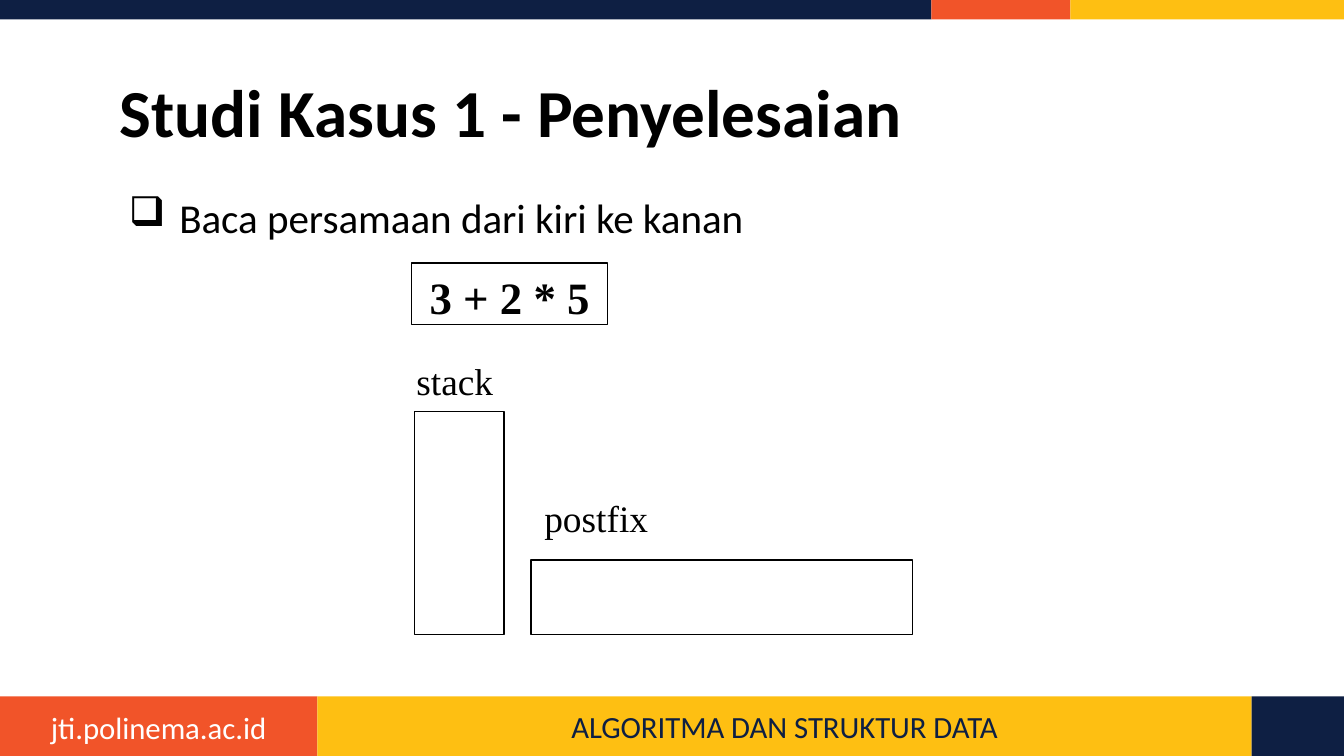
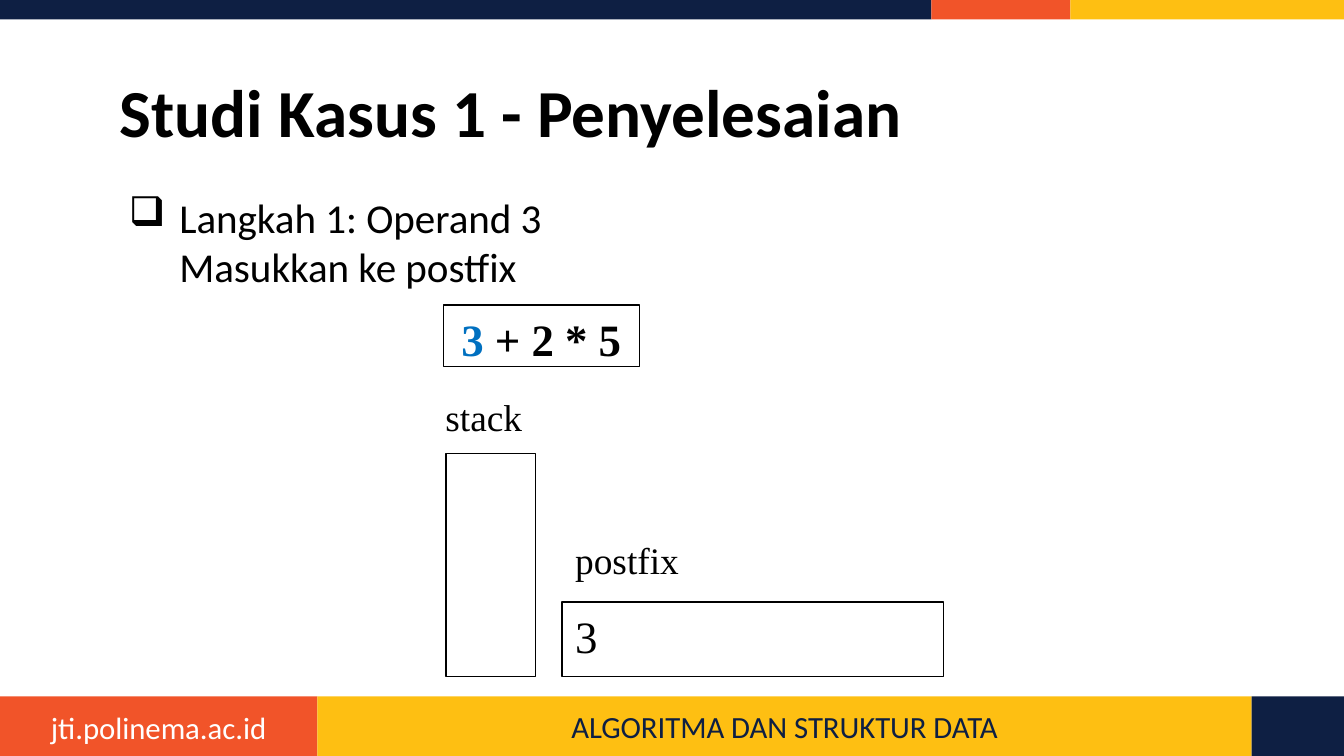
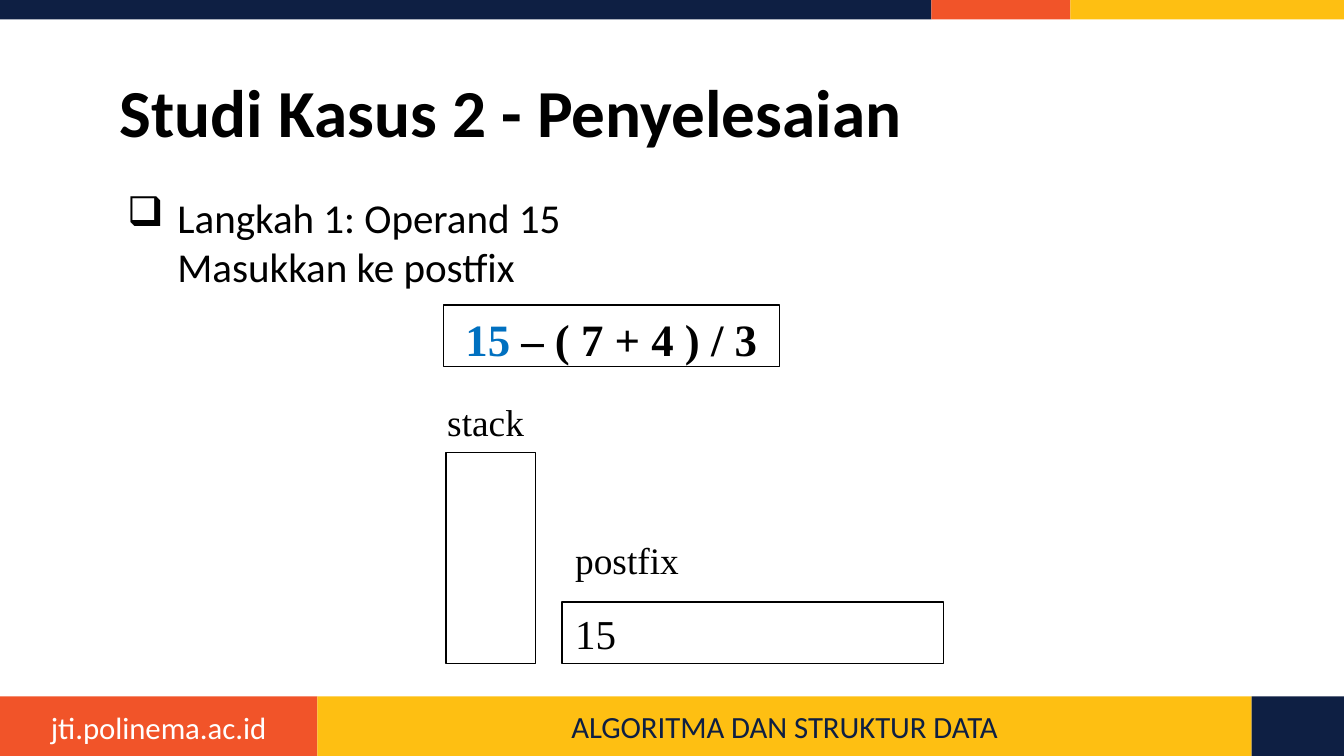
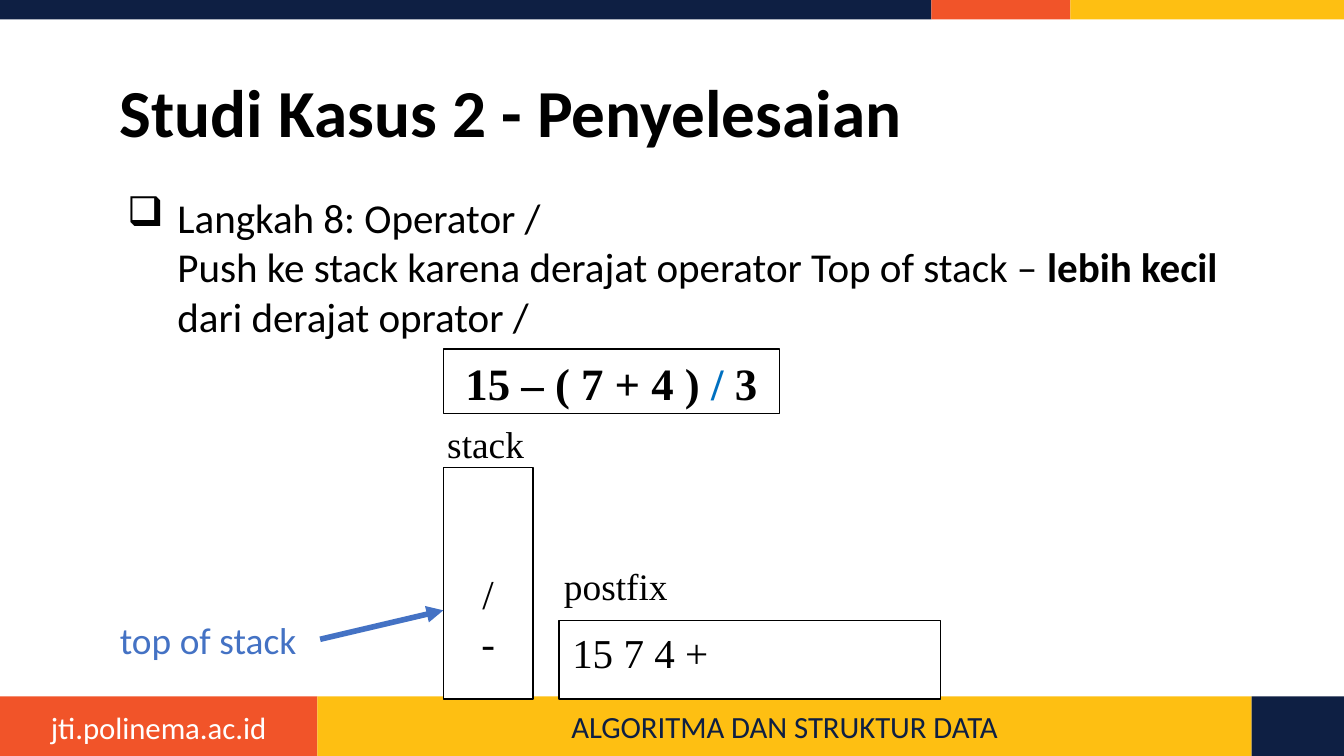
from lxml.etree import SubElement
from pptx import Presentation
from pptx.dml.color import RGBColor
from pptx.enum.shapes import MSO_CONNECTOR, MSO_SHAPE
from pptx.enum.text import MSO_ANCHOR, MSO_AUTO_SIZE, PP_ALIGN
from pptx.oxml.ns import qn
from pptx.util import Pt

NAVY, ORANGE, YELLOW = "0E1F43", "F15429", "FEBF12"
BLACK, WHITE, BLUE, ACCENT = "000000", "FFFFFF", "0070C0", "4472C4"
SANS, SERIF = "Calibri", "Times New Roman"
WIDTH, HEIGHT = 720, 405
FOOTER_H = 32

TOP_BAND = [(499, NAVY), (74.5, ORANGE), (146.5, YELLOW)]
FOOTER = [(170, ORANGE), (500.5, YELLOW), (49.5, NAVY)]
SITE = "jti.polinema.ac.id"
COURSE = "ALGORITMA DAN STRUKTUR DATA"

STACK_W, POSTFIX_W, LABEL_H = 48, 204.5, 28

SLIDES = [
    dict(title="Studi Kasus 1 - Penyelesaian",
         body=[("Baca persamaan dari kiri ke kanan",)], indent=32, body_w=607,
         expr=[("3 + 2 * 5",)], expr_at=(220.5, 141, 105, 33),
         bottom=340, stack=(222, 119.5), stack_label=(216, 188.5), stack_items=[],
         postfix=(284.5, 40), postfix_label=(284.5, 262), output="", output_size=24),
    dict(title="Studi Kasus 1 - Penyelesaian",
         body=[("Langkah 1: Operand 3\nMasukkan ke postfix",)], indent=32, body_w=607,
         expr=[("3", dict(color=BLUE)), (" + 2 * 5",)], expr_at=(237.5, 163.5, 105, 33),
         bottom=362.5, stack=(239, 119.5), stack_label=(231.5, 207.5), stack_items=[],
         postfix=(301, 40), postfix_label=(301, 284.5), output="3", output_size=24),
    dict(title="Studi Kasus 2 - Penyelesaian",
         body=[("Langkah 1: Operand 15\nMasukkan ke postfix",)], indent=31, body_w=607,
         expr=[("15", dict(color=BLUE)), (" – ( 7 + 4 ) / 3",)],
         expr_at=(237.5, 163.5, 180, 33),
         bottom=355.5, stack=(239, 113), stack_label=(232.5, 210.5), stack_items=[],
         postfix=(301, 33), postfix_label=(301, 284.5), output="15", output_size=22),
    dict(title="Studi Kasus 2 - Penyelesaian",
         body=[("Langkah 8: Operator /\nPush ke stack karena derajat operator Top of stack – ",),
               ("lebih kecil ", dict(bold=True)), ("dari derajat oprator /",)],
         indent=31, body_w=634,
         expr=[("15 – ( 7 + 4 ) ",), ("/", dict(color=BLUE)), (" 3",)],
         expr_at=(237.5, 187, 180, 34.5),
         bottom=374.5, stack=(237.5, 124), stack_label=(232.5, 222), stack_items=["/", "-"],
         postfix=(299.5, 42), postfix_label=(295, 298), output="15 7 4 +", output_size=22,
         pointer=dict(text="top of stack", at=(51, 327, 121, 32),
                      arrow=(171.5, 342.5, 237.5, 327))),
]


def rgb(value):
    return RGBColor.from_string(value)


def write(sp, paragraphs, size=20, font=SERIF, color=BLACK, bold=False,
          align=PP_ALIGN.LEFT, anchor=MSO_ANCHOR.TOP, inset=(7.2, 3.6),
          top=None, spacing=None, indent=None):
    tf = sp.text_frame
    tf.word_wrap, tf.auto_size, tf.vertical_anchor = True, MSO_AUTO_SIZE.NONE, anchor
    tf.margin_left = tf.margin_right = Pt(inset[0])
    tf.margin_top = Pt(inset[1] if top is None else top)
    tf.margin_bottom = Pt(inset[1])
    for i, runs in enumerate(paragraphs):
        p = tf.add_paragraph() if i else tf.paragraphs[0]
        p.alignment = align
        if spacing:
            p.line_spacing = spacing
        if indent:
            add_bullet(p, indent)
        for text, *style in [(runs,)] if isinstance(runs, str) else runs:
            look = dict(color=color, bold=bold) | (style[0] if style else {})
            for n, line in enumerate(text.split("\n")):
                if n:
                    p.add_line_break()
                r = p.add_run()
                r.text = line
                r.font.size, r.font.name, r.font.bold = Pt(size), font, look["bold"]
                r.font.color.rgb = rgb(look["color"])


def add_bullet(p, indent):
    pPr = p._p.get_or_add_pPr()
    pPr.set("marL", str(Pt(indent)))
    pPr.set("indent", str(Pt(-27)))
    SubElement(SubElement(pPr, qn("a:buClr")), qn("a:srgbClr")).set("val", BLACK)
    SubElement(pPr, qn("a:buChar")).set("char", "❑")


def add_box(s, at, fill=WHITE, line=None):
    sp = s.shapes.add_shape(MSO_SHAPE.RECTANGLE, *map(Pt, at))
    sp.shadow.inherit = False
    sp.fill.solid()
    sp.fill.fore_color.rgb = rgb(fill)
    if line:
        sp.line.color.rgb = rgb(line)
        sp.line.width = Pt(0.75)
    else:
        sp.line.fill.background()
    return sp


def add_text(s, at, text, **look):
    write(s.shapes.add_textbox(*map(Pt, at)), [text], **look)


def add_band(s, parts, y, h):
    x, boxes = 0, []
    for w, color in parts:
        boxes.append(add_box(s, (x, y, w, h), color))
        x += w
    return boxes


def add_frame(s):
    add_band(s, TOP_BAND, 0, 10.5)
    site, course, _ = add_band(s, FOOTER, HEIGHT - FOOTER_H, FOOTER_H)
    look = dict(size=16.5, font=SANS, align=PP_ALIGN.CENTER)
    write(site, [SITE], color=WHITE, anchor=MSO_ANCHOR.MIDDLE, top=5, **look)
    write(course, [COURSE], color=NAVY, anchor=MSO_ANCHOR.MIDDLE, **look)


def add_title(s, text):
    sp = s.shapes.title
    sp.left, sp.top, sp.width, sp.height = map(Pt, (57, 35.5, 607, 45.5))
    write(sp, [text], size=36, font=SANS, bold=True, inset=(7.2, 7.2), spacing=0.9)


def add_diagram(s, d):
    x, h = d["stack"]
    stack = add_box(s, (x, d["bottom"] - h, STACK_W, h), line=BLACK)
    if d["stack_items"]:
        write(stack, d["stack_items"], size=22, align=PP_ALIGN.CENTER, top=54)
    expr = add_box(s, d["expr_at"], line=BLACK)
    write(expr, [d["expr"]], size=24, bold=True, align=PP_ALIGN.CENTER)
    add_text(s, (*d["stack_label"], 60, LABEL_H), "stack")
    x, h = d["postfix"]
    postfix = add_box(s, (x, d["bottom"] - h, POSTFIX_W, h), line=BLACK)
    if d["output"]:
        write(postfix, [d["output"]], size=d["output_size"])
    add_text(s, (*d["postfix_label"], 82, LABEL_H), "postfix")


def add_pointer(s, text, at, arrow):
    add_text(s, at, text, font=SANS, color=ACCENT, align=PP_ALIGN.CENTER)
    cx = s.shapes.add_connector(MSO_CONNECTOR.STRAIGHT, *map(Pt, arrow))
    cx.line.color.rgb = rgb(ACCENT)
    cx.line.width = Pt(3)
    SubElement(cx.line._get_or_add_ln(), qn("a:tailEnd")).set("type", "triangle")
    SubElement(cx._element.spPr, qn("a:effectLst"))


def main():
    prs = Presentation()
    prs.slide_width, prs.slide_height = Pt(WIDTH), Pt(HEIGHT)
    for d in SLIDES:
        s = prs.slides.add_slide(prs.slide_layouts[5])
        add_frame(s)
        add_title(s, d["title"])
        add_text(s, (57, 96, d["body_w"], 266), d["body"], size=22, font=SANS,
                 inset=(7.2, 7.2), indent=d["indent"])
        add_diagram(s, d)
        if "pointer" in d:
            add_pointer(s, **d["pointer"])
    prs.save("out.pptx")


if __name__ == "__main__":
    main()
